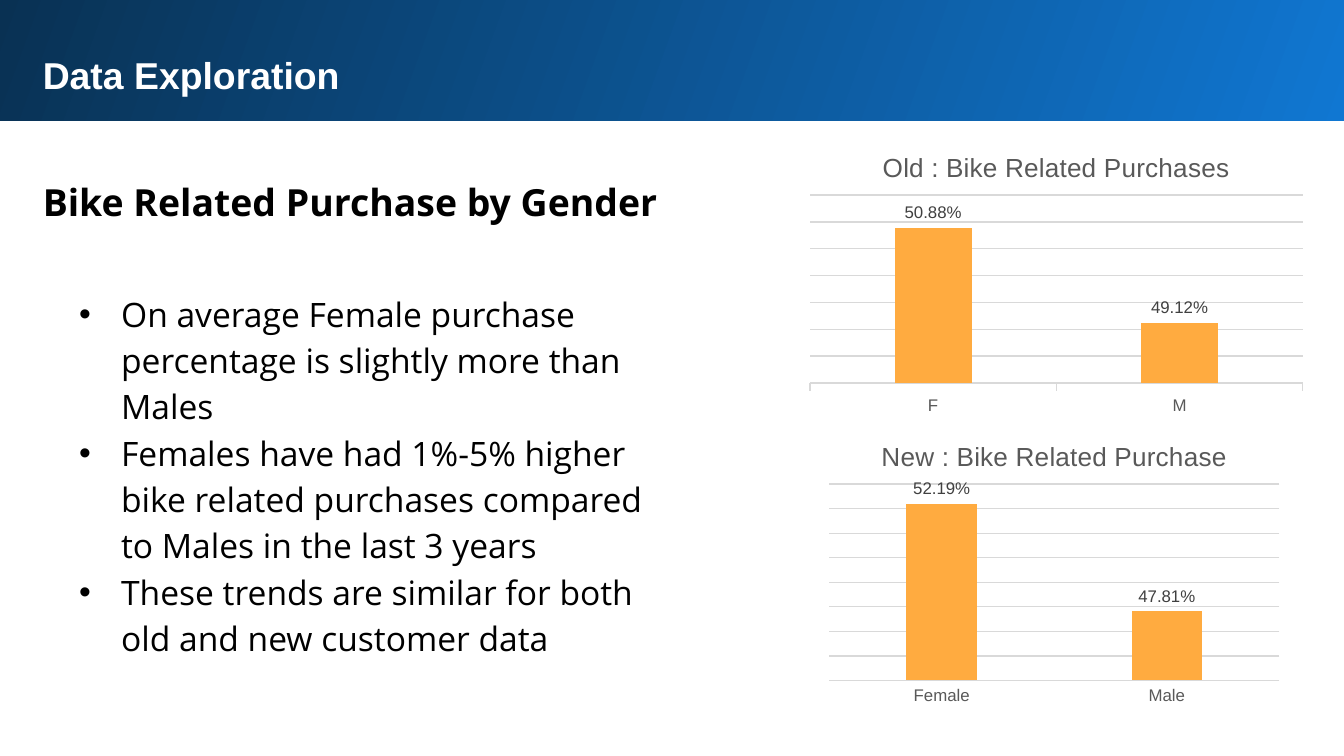
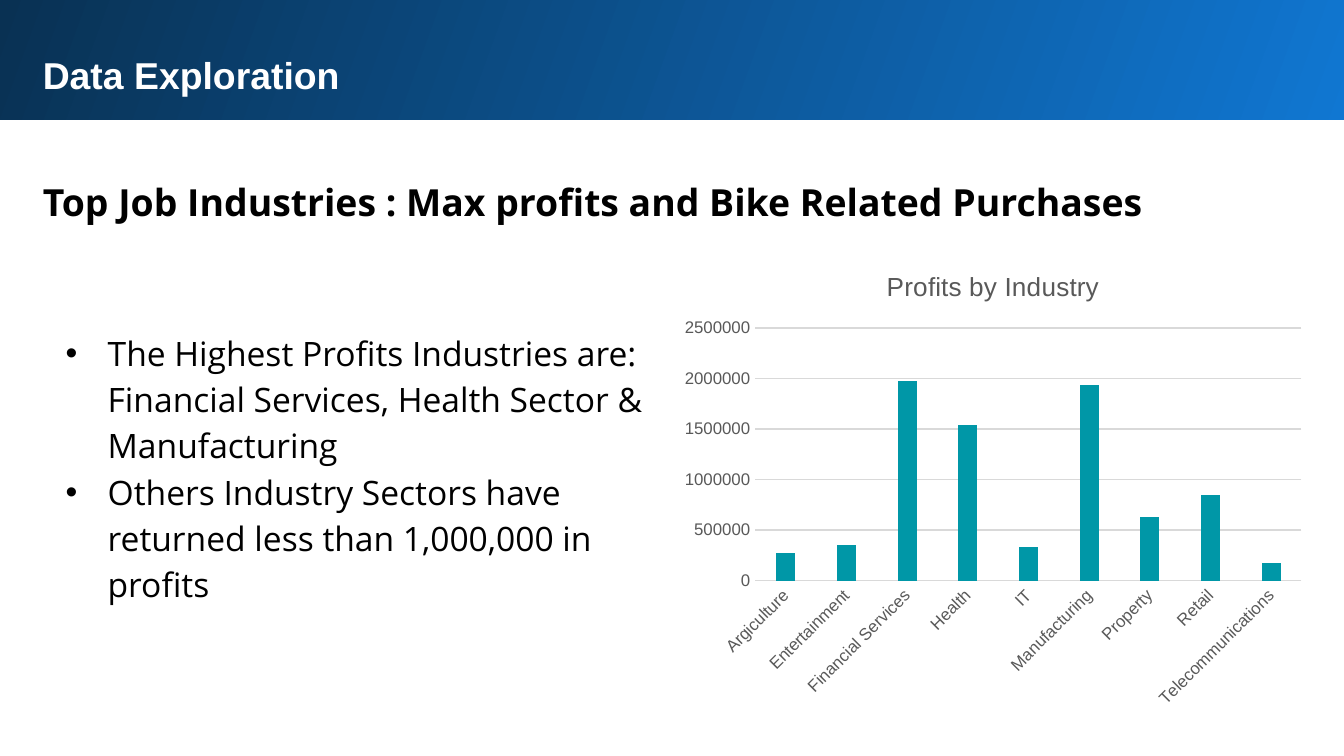
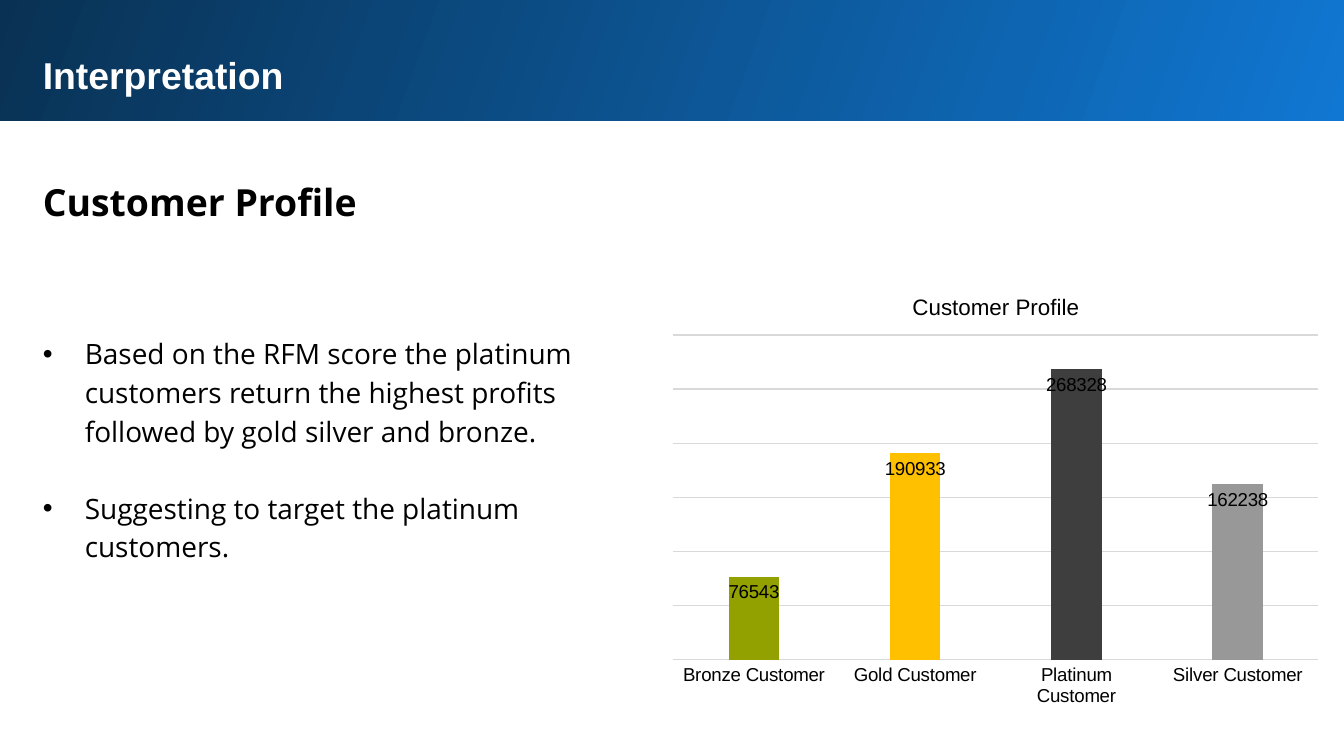
from dataclasses import dataclass
from lxml.etree import SubElement as Sub
from pptx import Presentation
from pptx.chart.data import CategoryChartData as Data
from pptx.dml.color import RGBColor as Rgb
from pptx.enum.chart import XL_CHART_TYPE as Kind
from pptx.enum.chart import XL_LABEL_POSITION as Spot
from pptx.enum.chart import XL_TICK_MARK as Tick
from pptx.enum.shapes import MSO_SHAPE as Form
from pptx.enum.text import MSO_AUTO_SIZE as Fit
from pptx.oxml.ns import qn
from pptx.util import Pt


# Colours, fonts and type sizes
@dataclass(frozen=True)
class Theme:
    navy: str = "093153"
    blue: str = "1077D2"
    white: str = "FFFFFF"
    black: str = "000000"
    grey: str = "595959"
    dark: str = "404040"
    rule: str = "D9D9D9"
    amber: str = "FFAB40"
    teal: str = "0097A7"
    medals: tuple = ("92A000", "FFC000", "3E3E3E", "989898")
    sans: str = "Arial"
    body: str = "Open Sans"
    head: int = 20
    text: int = 18
    small: int = 15
    title: int = 14
    label: int = 10
    tiny: int = 9


T = Theme()


def style(font, name, size, color, bold=False):
    font.name, font.size, font.bold = name, Pt(size), bold
    font.color.rgb = Rgb.from_string(color)


def rule(line):
    line.color.rgb = Rgb.from_string(T.rule)
    line.width = Pt(0.75)


# Text
def write(page, box, lines, name, size, color, bold=False, space=None):
    shape = page.shapes.add_textbox(*map(Pt, box))
    frame = shape.text_frame
    frame.word_wrap = True
    frame.auto_size = Fit.SHAPE_TO_FIT_TEXT
    frame.margin_top = frame.margin_bottom = Pt(7.2)
    frame.text = "\n".join(lines)
    for para in frame.paragraphs:
        para.line_spacing = space
        for run in para.runs:
            style(run.font, name, size, color, bold)
    return frame.paragraphs


def bullets(page, box, lines, size=T.text, gap=0):
    paras = write(page, box, lines, T.body, size, T.black, space=1.15)
    for count, para in enumerate(paras):
        if count and gap:
            para.space_before = Pt(gap)
        props = para._p.get_or_add_pPr()
        props.set("marL", str(Pt(22.5)))
        props.set("indent", str(Pt(-22.5)))
        Sub(props, qn("a:buFont")).set("typeface", T.sans)
        Sub(props, qn("a:buChar")).set("char", "•")


# Band, title and heading that every slide has
def start(deck, title, head, tall, left=-1.5, top=-1.5):
    page = deck.slides.add_slide(deck.slide_layouts[6])
    band = page.shapes.add_shape(Form.RECTANGLE, Pt(left), Pt(top), Pt(723.5), Pt(66.25))
    band.shadow.inherit = False
    band.line.fill.background()
    band.fill.gradient()
    band.fill.gradient_angle = 160
    for stop, color in zip(band.fill.gradient_stops, (T.blue, T.navy)):
        stop.color.rgb = Rgb.from_string(color)
    write(page, (15.84, 20.88, 674.64, tall), [title], T.sans, T.head, T.white, True)
    write(page, (15.84, 84.96, 674.64, 40.32), [head], T.body, T.head, T.black, True, 1.15)
    return page


# Charts
def place(chart, area):
    plot = chart._chartSpace.chart.plotArea
    for old in plot.findall(qn("c:layout")):
        plot.remove(old)
    outer = Sub(plot, qn("c:layout"))
    plot.insert(0, outer)
    inner = Sub(outer, qn("c:manualLayout"))
    parts = [("layoutTarget", "inner"), ("xMode", "edge"), ("yMode", "edge")]
    for tag, val in parts + list(zip("xywh", area)):
        Sub(inner, qn("c:" + tag)).set("val", str(val))


def columns(page, box, title, cats, vals, area, scale, fill=T.amber, form="General",
            head=(T.title, T.grey), note=(T.tiny, T.grey), lap=-27):
    data = Data(number_format=form)
    data.categories = cats
    data.add_series("Series 1", vals)
    chart = page.shapes.add_chart(Kind.COLUMN_CLUSTERED, *map(Pt, box), data).chart
    style(chart.font, T.sans, T.label, T.black)
    chart.has_legend = False
    chart.has_title = True
    frame = chart.chart_title.text_frame
    frame.text = title
    style(frame.paragraphs[0].runs[0].font, T.sans, *head)
    chart.chart_title.include_in_layout = False
    place(chart, area)

    plot = chart.plots[0]
    plot.vary_by_categories = False
    plot.gap_width, plot.overlap = 219, lap
    bars = plot.series[0].format.fill
    bars.solid()
    bars.fore_color.rgb = Rgb.from_string(fill)

    across, up = chart.category_axis, chart.value_axis
    for axis in (across, up):
        axis.major_tick_mark = axis.minor_tick_mark = Tick.NONE
        style(axis.tick_labels.font, T.sans, *note)
    rule(across.format.line)
    up.format.line.fill.background()
    up.minimum_scale, up.maximum_scale, up.major_unit = scale
    rule(up.major_gridlines.format.line)
    return chart


def label(chart, spot, size, color, form="General"):
    chart.value_axis.visible = False
    plot = chart.plots[0]
    plot.has_data_labels = True
    marks = plot.data_labels
    marks.show_value = True
    marks.position = spot
    marks.number_format, marks.number_format_is_linked = form, False
    style(marks.font, T.sans, size, color)


# Slides
def gender(deck):
    page = start(deck, "Data Exploration", "Bike Related Purchase by Gender", 36.72)
    bullets(page, (35.28, 146.88, 325.44, 213.84), [
        "On average Female purchase percentage is slightly more than Males",
        "Females have had 1%-5% higher bike related purchases compared to Males "
        "in the last 3 years",
        "These trends are similar for both old and new customer data"])
    form = "0.00%"
    old = columns(page, (428.4, 71.28, 275.04, 154.8), "Old : Bike Related Purchases",
                  ("F", "M"), (0.5088, 0.4912), (0.02, 0.215, 0.96, 0.65),
                  (0.48, 0.515, 0.005), form=form)
    old.category_axis.major_tick_mark = Tick.OUTSIDE
    new = columns(page, (439.2, 226.08, 251.28, 154.8), "New : Bike Related Purchase",
                  ("Female", "Male"), (0.5219, 0.4781), (0.02, 0.215, 0.96, 0.68),
                  (0.45, 0.53, 0.01), form=form)
    for chart in (old, new):
        label(chart, Spot.OUTSIDE_END, T.tiny, T.dark, form)


def trades(deck):
    page = start(deck, "Data Exploration",
                 "Top Job Industries : Max profits and Bike Related Purchases",
                 38.88, 0, -2.16)
    bullets(page, (28.08, 167.76, 325.44, 163.44), [
        "The Highest Profits Industries are: Financial Services, Health Sector "
        "& Manufacturing",
        "Others Industry Sectors have returned less than 1,000,000 in profits"])
    sums = {"Argiculture": 270000, "Entertainment": 350000,
            "Financial Services": 1980000, "Health": 1540000, "IT": 330000,
            "Manufacturing": 1940000, "Property": 630000, "Retail": 850000,
            "Telecommunications": 170000}
    chart = columns(page, (360, 133.2, 344.16, 250.56), "Profits by Industry",
                    sums.keys(), sums.values(), (0.13, 0.17, 0.85, 0.54),
                    (0, 2500000, 500000), T.teal, lap=0)
    # Slanted names
    text = chart.category_axis._element.find(qn("c:txPr"))
    text.find(qn("a:bodyPr")).set("rot", str(-45 * 60000))


def profile(deck):
    page = start(deck, "Interpretation", "Customer Profile", 59.76)
    bullets(page, (15.84, 170.64, 325.44, 138.96), [
        "Based on the RFM score the platinum customers return the highest profits "
        "followed by gold silver and bronze.",
        "Suggesting to target the platinum customers."], T.small, 20.6)
    ranks = ("Bronze", "Gold", "Platinum", "Silver")
    chart = columns(page, (353.52, 146.16, 360, 238.32), "Customer Profile",
                    [rank + " Customer" for rank in ranks],
                    (76543, 190933, 268328, 162238), (0.02, 0.14, 0.96, 0.73),
                    (0, 300000, 50000), head=(12, T.black), note=(T.label, T.black))
    label(chart, Spot.INSIDE_END, T.label, T.black)
    for place_no, color in enumerate(T.medals):
        fill = chart.plots[0].series[0].points[place_no].format.fill
        fill.solid()
        fill.fore_color.rgb = Rgb.from_string(color)


def main():
    deck = Presentation()
    deck.slide_width, deck.slide_height = Pt(720), Pt(405)
    gender(deck)
    trades(deck)
    profile(deck)
    deck.save("out.pptx")


main()
